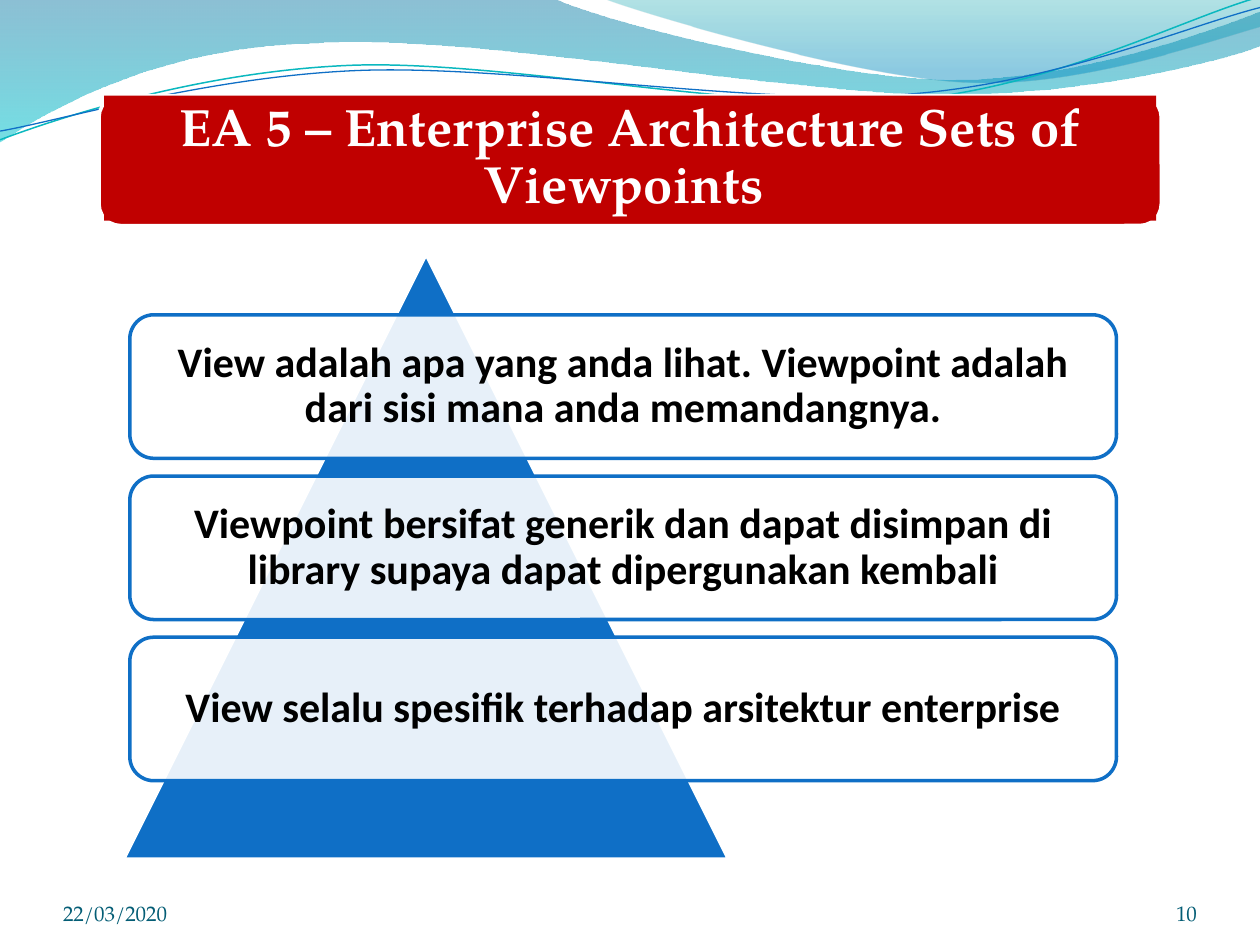
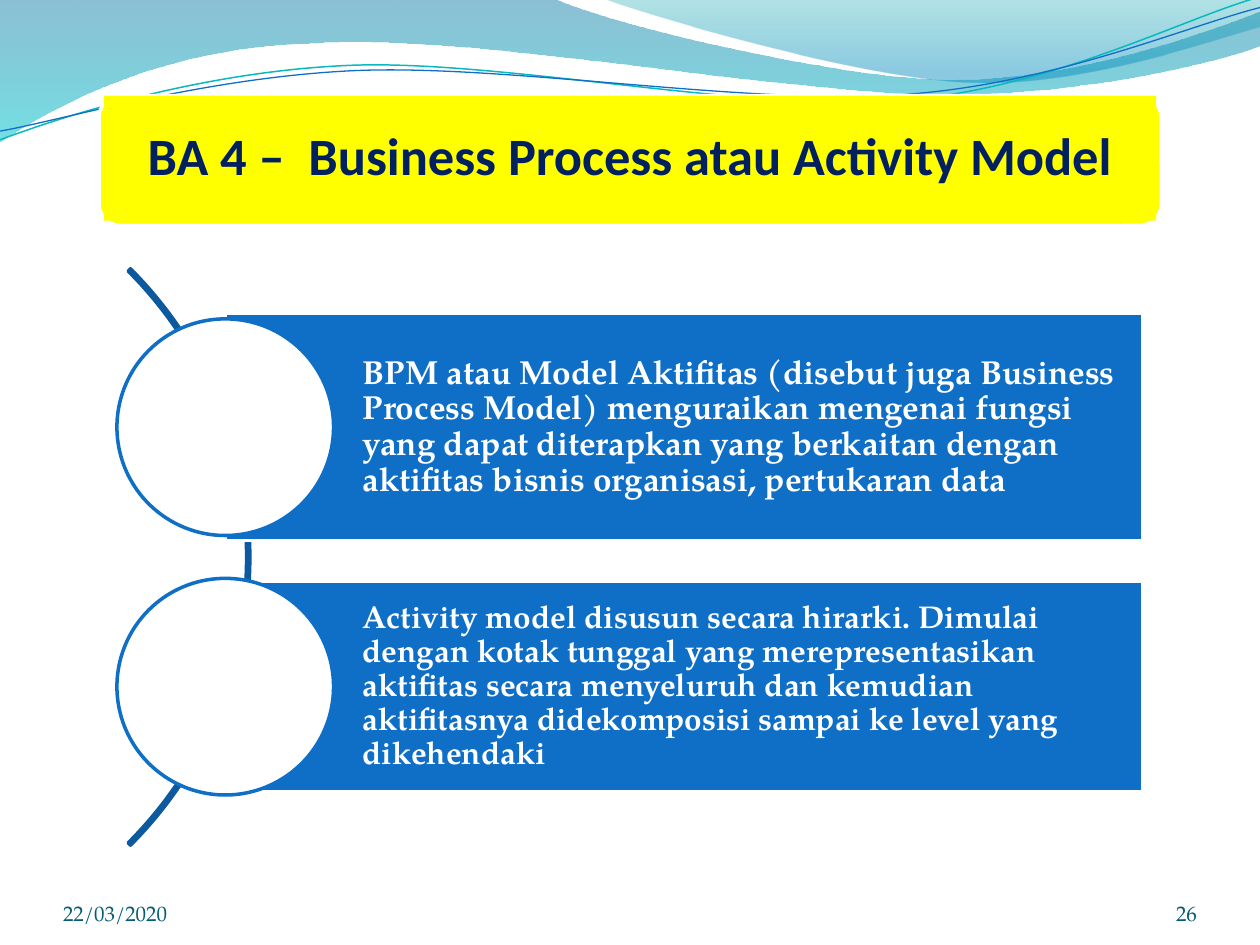
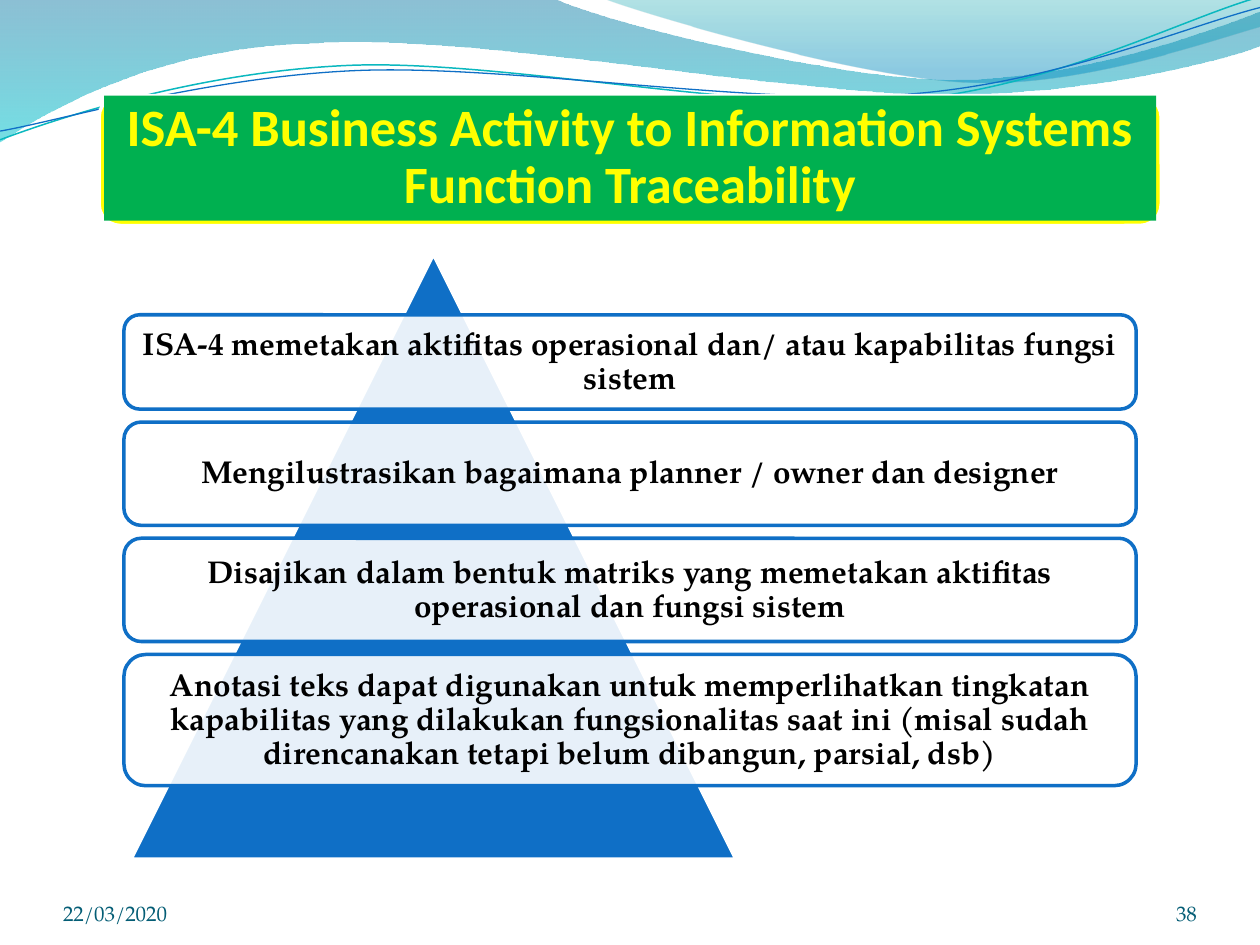
from lxml.etree import SubElement
from pptx import Presentation
from pptx.dml.color import RGBColor
from pptx.enum.shapes import MSO_SHAPE
from pptx.enum.text import MSO_ANCHOR, MSO_AUTO_SIZE, PP_ALIGN
from pptx.oxml.ns import qn
from pptx.util import Pt

WHITE = RGBColor(0xFF, 0xFF, 0xFF)
BLACK = RGBColor(0x00, 0x00, 0x00)
BLUE = RGBColor(0x0F, 0x6F, 0xC6)
DARK_BLUE = RGBColor(0x0C, 0x59, 0x9F)
NAVY = RGBColor(0x00, 0x20, 0x60)
FOOTER_TEAL = RGBColor(0x04, 0x5D, 0x75)
RED = RGBColor(0xC0, 0x00, 0x00)
YELLOW = RGBColor(0xFF, 0xFF, 0x00)
GREEN = RGBColor(0x00, 0xB0, 0x50)
LINE_TEAL = RGBColor(0x0A, 0xB8, 0xBF)
WAVE_BLUE = RGBColor(0x00, 0x74, 0xA1)
WAVE_CYAN = RGBColor(0x00, 0xC6, 0xCF)
CREST_TEAL = RGBColor(0x00, 0xA1, 0xA9)
CREST_BLUE = RGBColor(0x00, 0x8B, 0xBF)

SERIF = "TeX Gyre Pagella"
SANS = "Calibri"

WAVE = [
    (0, 0), (316.8, -0.7),
    (342.7, 12.2, 478, 45.4, 545.8, 45.4),
    (614.2, 45.4, 689.8, 18.7, 720, 6.5),
    (720.7, 25.9),
    (707.8, 31.7, 626.4, 54.7, 537.1, 54),
    (447.8, 54, 275, 20.2, 185, 24.5),
    (92.9, 25.9, 33.1, 59.8, -0.7, 81.4),
    (0, 0),
]
CREST = [
    (344.9, -0.7),
    (366.5, 7.9, 491, 44.6, 553.7, 46.8),
    (616.3, 49.7, 691.9, 23, 720, 15.1),
    (720, 0), (344.9, -0.7),
]
TEAL_LINE = [
    (0, 79.9),
    (34.6, 67, 113.8, 41, 199.4, 37.4),
    (284.4, 33.8, 427, 64.1, 513.4, 57.6),
    (599.8, 51.1, 675.4, 10.8, 718.6, -1.4),
]
BLUE_LINE = [
    (0, 74.9),
    (33.8, 69.1, 118.1, 43.9, 203.8, 40.3),
    (290.2, 36.7, 429.8, 60.5, 516.2, 54),
    (601.9, 48.2, 677.5, 15.1, 720, 4.3),
]


def write_text(shape, text, *, size, color, font=SERIF, bold=True,
               align=PP_ALIGN.CENTER, anchor=MSO_ANCHOR.MIDDLE,
               inset=0, left_inset=None, line_spacing=0.9):
    frame = shape.text_frame
    frame.word_wrap = True
    frame.auto_size = MSO_AUTO_SIZE.NONE
    frame.vertical_anchor = anchor
    frame.margin_top = frame.margin_right = frame.margin_bottom = Pt(inset)
    frame.margin_left = Pt(inset if left_inset is None else left_inset)
    frame.text = text
    paragraph = frame.paragraphs[0]
    paragraph.alignment = align
    paragraph.line_spacing = line_spacing
    run_font = paragraph.runs[0].font
    run_font.name = font
    run_font.size = Pt(size)
    run_font.bold = bold
    run_font.color.rgb = color


def set_opacity(shape, *percents):
    colors = shape.element.spPr.iter(qn("a:srgbClr"))
    for color, percent in zip(colors, percents):
        SubElement(color, qn("a:alpha")).set("val", str(percent * 1000))


def style_shape(shape, fill=None, line=None, line_width=2):
    shape.shadow.inherit = False
    if fill is None:
        shape.fill.background()
    else:
        shape.fill.solid()
        shape.fill.fore_color.rgb = fill
    if line is None:
        shape.line.fill.background()
    else:
        shape.line.color.rgb = line
        shape.line.width = Pt(line_width)


def add_shape(slide, kind, left, top, width, height, fill=None, line=WHITE):
    shape = slide.shapes.add_shape(kind, Pt(left), Pt(top), Pt(width), Pt(height))
    style_shape(shape, fill, line)
    return shape


def bend_curves(shape, segments):
    steps = iter(list(shape.element.spPr.iter(qn("a:lnTo"))))
    for segment in segments[1:]:
        first = next(steps)
        if len(segment) == 6:
            first.tag_name = None
            curve = SubElement(first.getparent(), qn("a:cubicBezTo"))
            first.addprevious(curve)
            for step in (first, next(steps), next(steps)):
                curve.append(step[0])
                step.getparent().remove(step)


def add_outline(slide, segments, close=False):
    vertices = [(Pt(segment[index]), Pt(segment[index + 1]))
                for segment in segments for index in range(0, len(segment), 2)]
    builder = slide.shapes.build_freeform(*vertices[0])
    builder.add_line_segments(vertices[1:], close=close)
    shape = builder.convert_to_shape()
    bend_curves(shape, segments)
    style_shape(shape)
    return shape


def add_gradient_wave(slide, segments, stops):
    shape = add_outline(slide, segments, close=True)
    shape.fill.gradient()
    shape.fill.gradient_angle = 270
    for stop, (position, color, _) in zip(shape.fill.gradient_stops, stops):
        stop.position = position
        stop.color.rgb = color
    set_opacity(shape, *(opacity for _, _, opacity in stops))
    return shape


def add_wave_line(slide, segments, color, width):
    shape = add_outline(slide, segments)
    style_shape(shape, line=color, line_width=width)
    return shape


def add_waves_to_layout(slide):
    waves = [
        add_gradient_wave(slide, WAVE, [(0, WAVE_BLUE, 45), (1, WAVE_CYAN, 55)]),
        add_gradient_wave(slide, CREST, [(0, CREST_TEAL, 30), (0.8, CREST_BLUE, 45)]),
        add_wave_line(slide, TEAL_LINE, LINE_TEAL, 0.85),
        add_wave_line(slide, BLUE_LINE, BLUE, 0.75),
    ]
    layout_tree = slide.slide_layout.shapes.element
    for index, wave in enumerate(waves):
        wave.element.nvSpPr.cNvPr.set("id", str(20 + index))
        layout_tree.insert(2 + index, wave.element)


def add_footer(slide, text, left, width, align):
    box = slide.shapes.add_textbox(Pt(left), Pt(500.4), Pt(width), Pt(28.8))
    write_text(box, text, size=12, color=FOOTER_TEAL, bold=False, align=align,
               anchor=MSO_ANCHOR.BOTTOM, line_spacing=1)


def add_title(slide, text, color, fill, band, font):
    add_shape(slide, MSO_SHAPE.ROUNDED_RECTANGLE, 56.6, 54.7, 607, 74.2, band)
    title = slide.shapes.title
    title.left, title.top, title.width, title.height = Pt(59.5), Pt(54.6), Pt(601.2), Pt(71.5)
    title.fill.solid()
    title.fill.fore_color.rgb = fill
    write_text(title, text, size=30, color=color, font=font, inset=8.64)
    slide.shapes.element.append(title.element)


def start_slide(presentation, number, title, color, fill, band, font=SANS):
    slide = presentation.slides.add_slide(presentation.slide_layouts[5])
    if len(presentation.slides) == 1:
        add_waves_to_layout(slide)
    add_footer(slide, "22/03/2020", 36, 168, PP_ALIGN.LEFT)
    add_footer(slide, str(number), 624, 60, PP_ALIGN.RIGHT)
    add_title(slide, title, color, fill, band, font)
    return slide


def add_pyramid(slide, triangle_left, left, width, gap, cards, **text_format):
    add_shape(slide, MSO_SHAPE.ISOSCELES_TRIANGLE, triangle_left, 145.4, 345.6, 345.6, BLUE)
    top = 179.9
    for height, text in cards:
        card = add_shape(slide, MSO_SHAPE.ROUNDED_RECTANGLE, left, top, width, height, WHITE, BLUE)
        set_opacity(card, 90)
        write_text(card, text, color=BLACK, **text_format)
        top += height + gap


def add_arc_list(slide, items):
    arc = add_shape(slide, MSO_SHAPE.BLOCK_ARC, -323, 85.4, 465.8, 465.8, line=DARK_BLUE)
    for index, value in enumerate((189, 27, 0.004)):
        arc.adjustments[index] = value
    diameter = 123.8
    for top, height, size, text in items:
        bar = add_shape(slide, MSO_SHAPE.RECTANGLE, 128.8, top, 524.2, height, BLUE)
        write_text(bar, text, size=size, color=WHITE, align=PP_ALIGN.LEFT,
                   inset=3.6, left_inset=78.5)
        add_shape(slide, MSO_SHAPE.OVAL, 66.8, top + (height - diameter) / 2,
                  diameter, diameter, WHITE, BLUE)


def main():
    presentation = Presentation()
    presentation.slide_width = Pt(720)
    presentation.slide_height = Pt(540)

    viewpoints = start_slide(
        presentation, 10, "EA 5 – Enterprise Architecture Sets of Viewpoints ",
        WHITE, RED, RED, SERIF)
    add_pyramid(viewpoints, 70.7, 74.2, 563.8, 10.1, [
        (82, "View adalah apa yang anda lihat. Viewpoint adalah dari sisi mana anda "
             "memandangnya."),
        (82, "Viewpoint bersifat generik dan dapat disimpan di library supaya dapat "
             "dipergunakan kembali"),
        (82, "View selalu spesifik terhadap arsitektur enterprise"),
    ], size=24, font=SANS, inset=7.2)

    activity_model = start_slide(
        presentation, 26, "BA 4 –  Business Process atau Activity Model",
        NAVY, YELLOW, YELLOW)
    add_arc_list(activity_model, [
        (179.3, 129.6, 19,
         "BPM atau Model Aktifitas (disebut juga Business Process Model) menguraikan "
         "mengenai fungsi yang dapat diterapkan yang berkaitan dengan aktifitas bisnis "
         "organisasi, pertukaran data"),
        (332.3, 120.2, 18,
         "Activity model disusun secara hirarki. Dimulai dengan kotak tunggal yang "
         "merepresentasikan aktifitas secara menyeluruh dan kemudian aktifitasnya "
         "didekomposisi sampai ke level yang dikehendaki"),
    ])

    traceability = start_slide(
        presentation, 38,
        "ISA-4 Business Activity to Information Systems Function Traceability",
        YELLOW, GREEN, YELLOW)
    add_pyramid(traceability, 74.9, 70.8, 578.4, 7.4, [
        (53.9, "ISA-4 memetakan aktifitas operasional dan/ atau kapabilitas fungsi sistem"),
        (59, "Mengilustrasikan bagaimana planner / owner dan designer"),
        (59, "Disajikan dalam bentuk matriks yang memetakan aktifitas operasional dan "
             "fungsi sistem"),
        (75, "Anotasi teks dapat digunakan untuk memperlihatkan tingkatan kapabilitas yang "
             "dilakukan fungsionalitas saat ini (misal sudah direncanakan tetapi belum "
             "dibangun, parsial, dsb)"),
    ], size=18, inset=5)

    presentation.save("out.pptx")


if __name__ == "__main__":
    main()
